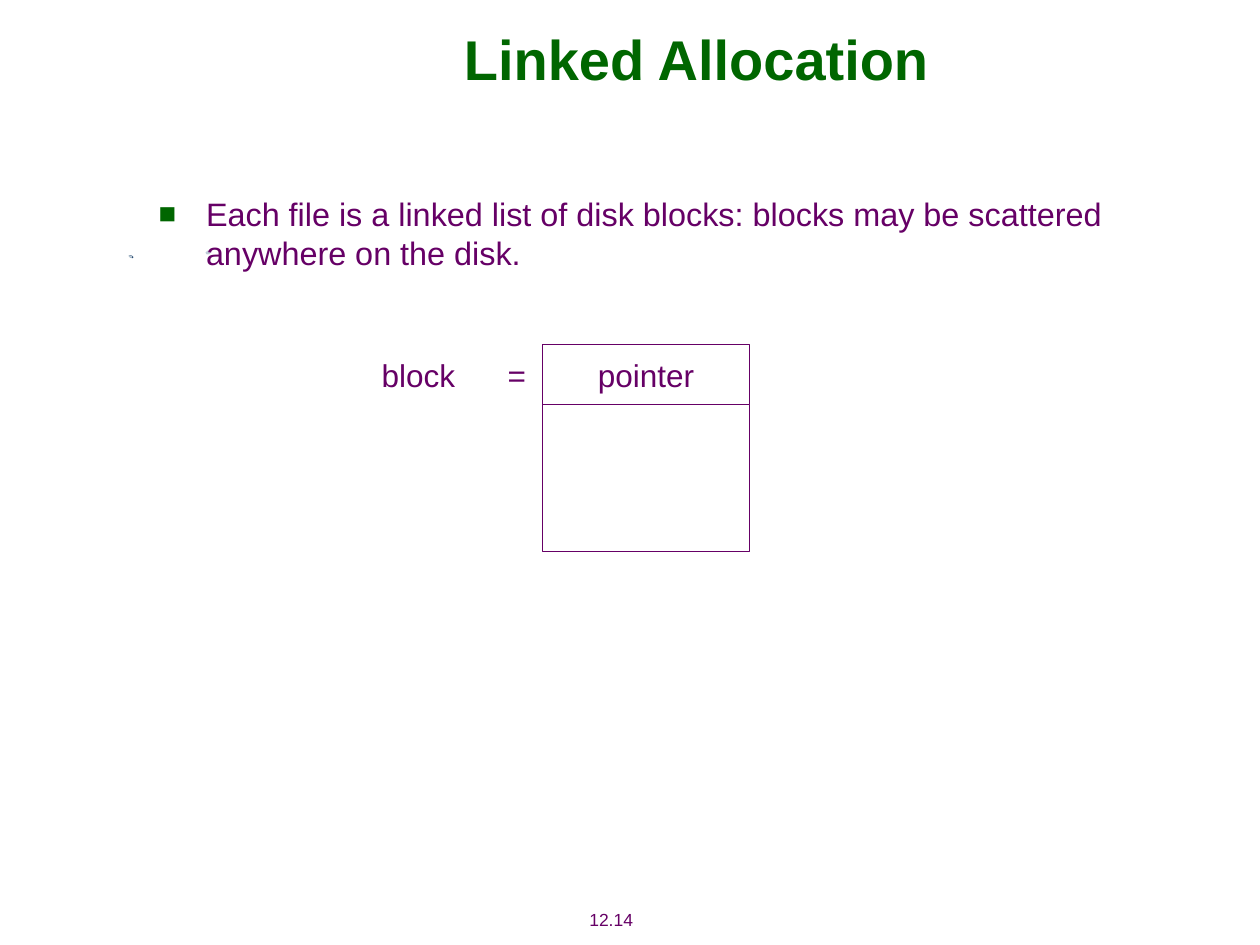
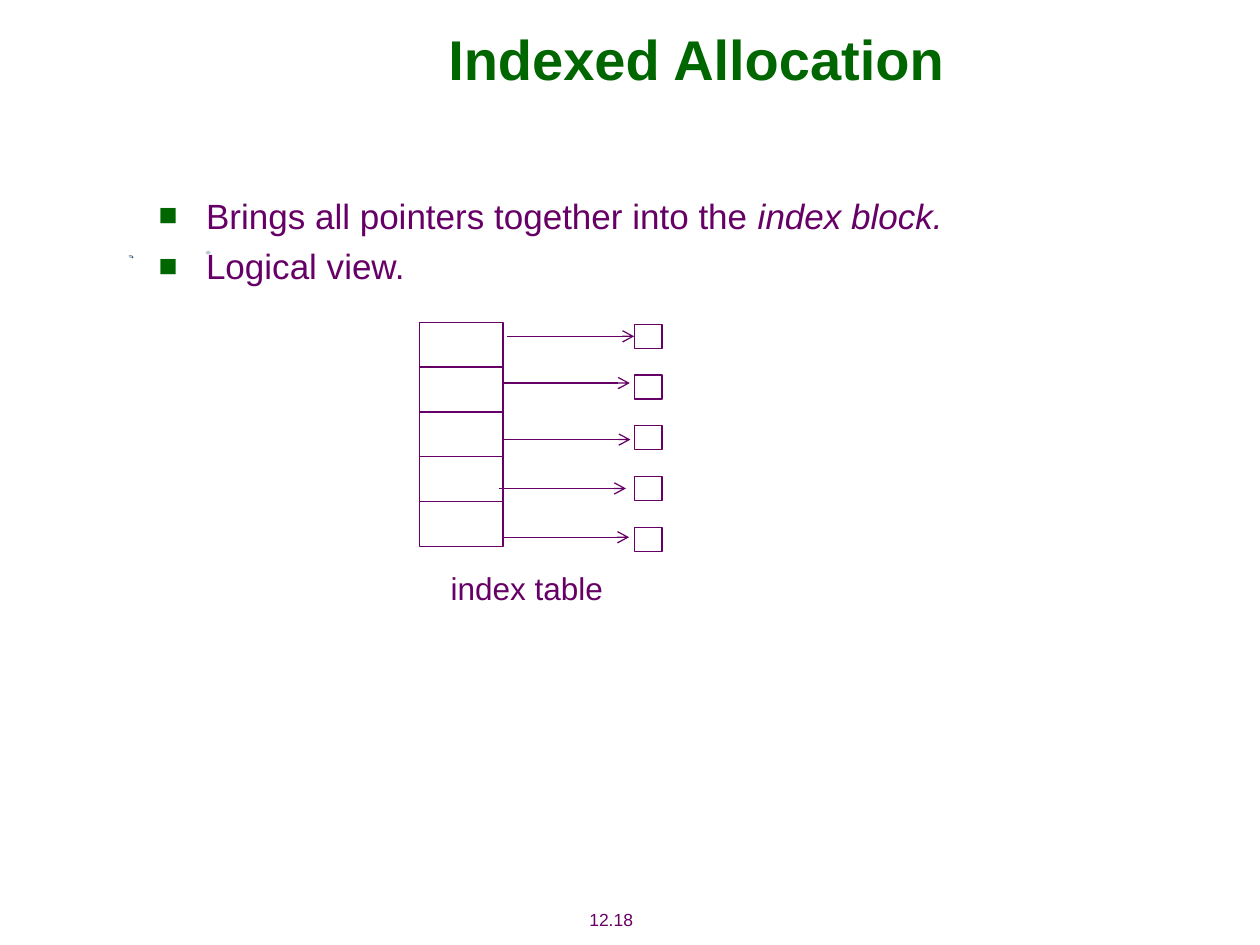
from lxml.etree import SubElement as Sub
from pptx import Presentation
from pptx.dml.color import RGBColor
from pptx.enum.shapes import MSO_CONNECTOR as Conn, MSO_SHAPE as Geo
from pptx.enum.text import MSO_ANCHOR as Anchor, MSO_AUTO_SIZE as Fit, PP_ALIGN as Align
from pptx.oxml.ns import qn
from pptx.util import Pt

rgb = RGBColor.from_string
PLUM, GREEN, WHITE = "660066", "006600", "FFFFFF"
NAVY, MIST = "284C70", "BFCCD8"

LABEL = {"size": Pt(18), "name": "Arial", "bold": False}
HEAD = {**LABEL, "size": Pt(32), "bold": True}
PAGE = {**LABEL, "size": Pt(10)}
MID = {"word_wrap": True, "auto_size": Fit.NONE, "vertical_anchor": Anchor.MIDDLE}
TOP = {**MID, "vertical_anchor": Anchor.TOP}

# Small marks behind the text: colour and corner points
SPECKS = [
    (NAVY, [(73.5, 146.2), (74.5, 145.8), (75.6, 146.2), (76.3, 146.9),
            (75.6, 147.6), (74.2, 147)]),
    (MIST, [(73.5, 146.2), (74.5, 145.9), (75.6, 146.5), (75.2, 147.4),
            (74.2, 147)]),
    (MIST, [(117.4, 144.4), (118.5, 143.3), (119.5, 143.3), (120.5, 144.4),
            (119.5, 145.4), (118.1, 145.4)]),
]

# Heading, page, body height, body size, list items as runs of (text, italic)
SLIDES = [
    ("Linked Allocation", "12.14", 53.5, 18.5,
     [[("Each file is a linked list of disk blocks: blocks may be "
        "scattered anywhere on the disk.", False)]]),
    ("Indexed Allocation", "12.18", 67, 20,
     [[("Brings all pointers together into the ", False), ("index block.", True)],
      [("Logical view.", False)]]),
]


def write(shape, text, look, hue=PLUM, align=Align.CENTER):
    """Fill a shape with one paragraph and format it."""
    frame = shape.text_frame
    for key, val in MID.items():
        setattr(frame, key, val)
    frame.text = text
    para = frame.paragraphs[0]
    para.alignment = align
    for key, val in look.items():
        setattr(para.runs[0].font, key, val)
    para.runs[0].font.color.rgb = rgb(hue)
    return para


def cell(host, left, top, width, height):
    """Draw a white rectangle with a thin plum edge."""
    rect = host.add_shape(Geo.RECTANGLE, Pt(left), Pt(top), Pt(width), Pt(height))
    rect.shadow.inherit = False
    rect.fill.solid()
    rect.fill.fore_color.rgb = rgb(WHITE)
    rect.line.color.rgb = rgb(PLUM)
    rect.line.width = Pt(0.75)
    return rect


deck = Presentation()
deck.slide_width, deck.slide_height = Pt(720), Pt(540)

for head, page, tall, size, items in SLIDES:
    slide = deck.slides.add_slide(deck.slide_layouts[1])
    title, body = slide.placeholders
    spots = [(title, (92, 0, 612, 66)), (body, (83.5, 107.3, 553.7, tall))]
    for shape, spot in spots:
        for key, val in zip(("left", "top", "width", "height"), spot):
            setattr(shape, key, Pt(val))
    write(title, head, HEAD, GREEN)

    # List with square bullets
    frame = body.text_frame
    for key, val in TOP.items():
        setattr(frame, key, val)
    for num, item in enumerate(items):
        para = frame.add_paragraph() if num else frame.paragraphs[0]
        para.space_before = Pt(5 if num else 0)
        props = para._p.get_or_add_pPr()
        props.set("marL", str(Pt(27)))
        props.set("indent", str(Pt(-27)))
        Sub(Sub(props, qn("a:buClr")), qn("a:srgbClr"), val=GREEN)
        Sub(props, qn("a:buSzPct"), val="90000")
        Sub(props, qn("a:buFont"), typeface="Arial")
        Sub(props, qn("a:buChar"), char="■")
        for text, slant in item:
            run = para.add_run()
            run.text = text
            look = {**LABEL, "size": Pt(size), "italic": slant}
            for key, val in look.items():
                setattr(run.font, key, val)
            run.font.color.rgb = rgb(PLUM)

    # Marks and page number, placed behind the title and list
    for hue, dots in SPECKS:
        dots = [(Pt(x), Pt(y)) for x, y in dots]
        path = slide.shapes.build_freeform(*dots[0])
        path.add_line_segments(dots[1:])
        speck = path.convert_to_shape()
        speck.shadow.inherit = False
        speck.fill.solid()
        speck.fill.fore_color.rgb = rgb(hue)
        speck.line.fill.background()
        title.element.addprevious(speck.element)
    foot = slide.shapes.add_textbox(Pt(312.5), Pt(515.5), Pt(73.5), Pt(19.5))
    write(foot, page, PAGE)
    title.element.addprevious(foot.element)

linked, index = deck.slides

# Block made of a pointer and its data
group = linked.shapes.add_group_shape().shapes
write(cell(group, 310, 197, 118.5, 34), "pointer", LABEL)
cell(group, 310, 231, 118.5, 84)
name = group.add_textbox(Pt(211), Pt(199.5), Pt(99), Pt(29))
para = write(name, "block\t=", LABEL, align=Align.LEFT)
tabs = Sub(para._p.get_or_add_pPr(), qn("a:tabLst"))
Sub(tabs, qn("a:tab"), pos=str(Pt(72)), algn="l")

# Index table, the blocks it lists, and the arrows between them
for row in range(5):
    cell(index.shapes, 239.7, 184.2 + 25.6 * row, 47.8, 25.8)
for row in range(5):
    cell(index.shapes, 362.4, 185.3 + 29 * row, 16, 13.7)
arrows = [(289.7, 192.2), (287.2, 218.9), (287.6, 251.2), (285, 279.1), (286.8, 307)]
for x, y in arrows:
    arrow = index.shapes.add_connector(Conn.STRAIGHT, Pt(x), Pt(y), Pt(x + 72.7), Pt(y))
    arrow.line.color.rgb = rgb(PLUM)
    arrow.line.width = Pt(0.75)
    Sub(arrow.line._get_or_add_ln(), qn("a:tailEnd"), type="arrow")
    Sub(arrow._element.spPr, qn("a:effectLst"))
note = index.shapes.add_textbox(Pt(241), Pt(321.5), Pt(120), Pt(29))
write(note, "index table", LABEL)

deck.save("out.pptx")
